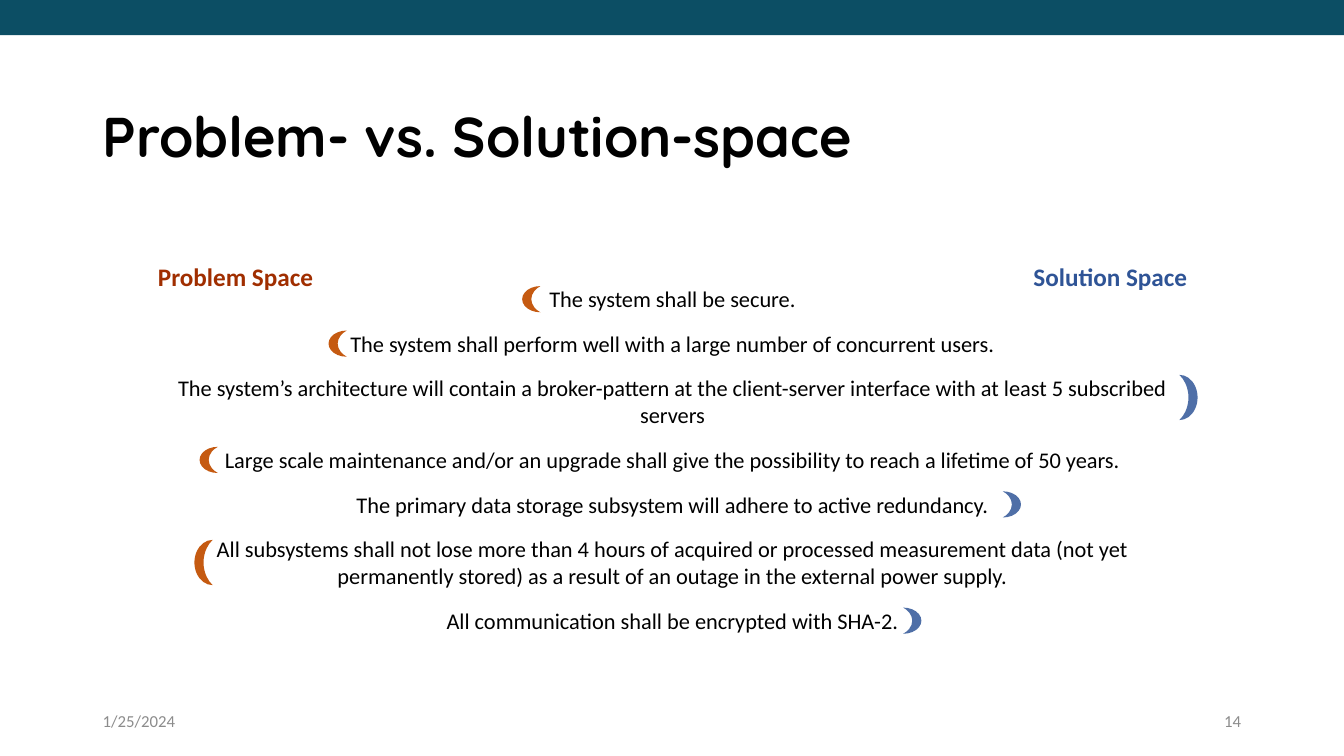
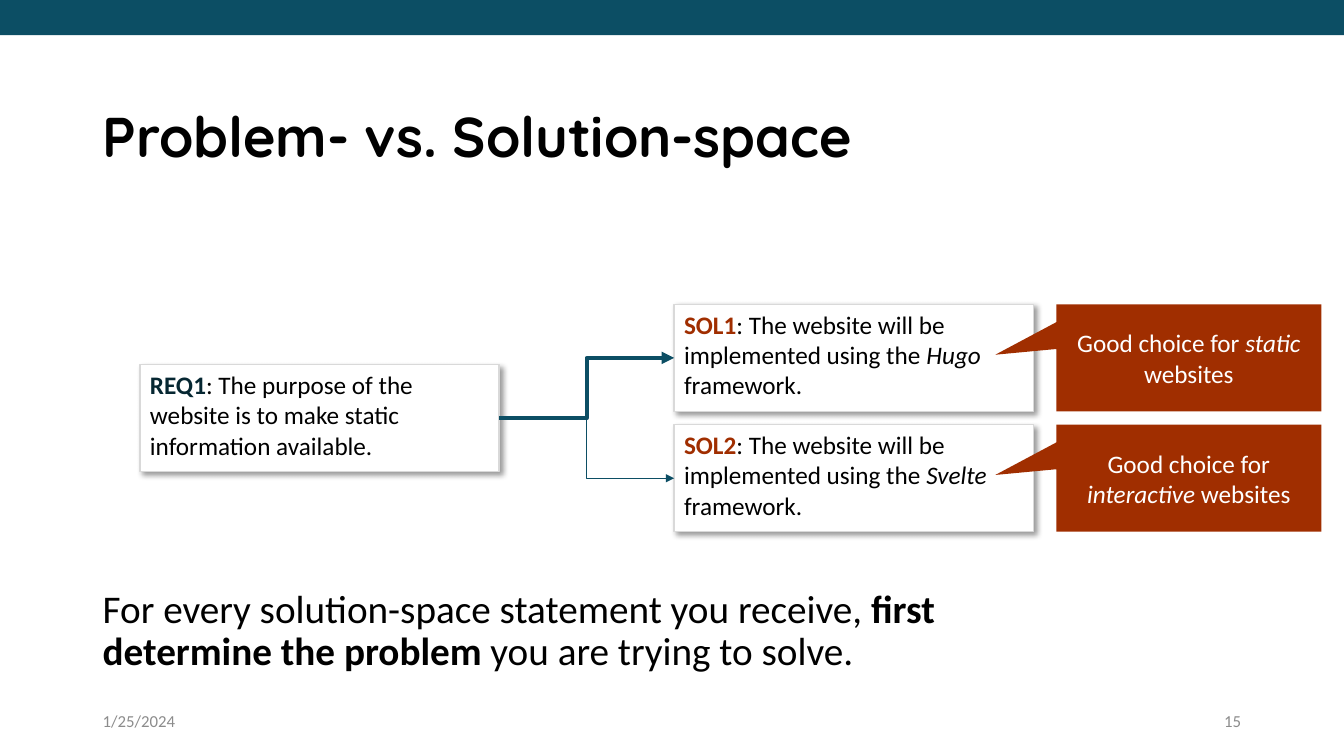
import pptx
import pptx.dml.color
import pptx.enum.shapes
import pptx.enum.text
import pptx.oxml
import pptx.oxml.ns
import pptx.util
from dataclasses import dataclass

Cm = pptx.util.Cm
Pt = pptx.util.Pt
SHAPE = pptx.enum.shapes.MSO_SHAPE
ALIGN = pptx.enum.text.PP_ALIGN
ANCHOR = pptx.enum.text.MSO_ANCHOR


@dataclass(frozen=True)
class Theme:
    heading_font: str = "Quicksand"
    body_font: str = "Calibri"
    black: str = "000000"
    white: str = "FFFFFF"
    teal: str = "0C4E64"
    dark_teal: str = "062732"
    grey: str = "8C8C8C"
    border: str = "D9D9D9"
    rust: str = "A02E00"
    blue: str = "2F5496"
    problem_moon: str = "C55A11"
    solution_moon: str = "4F6FA7"
    title_size: int = 40
    body_size: int = 28
    box_size: int = 18
    statement_size: int = 16
    footer_size: int = 12


THEME = Theme()
WIDTH, HEIGHT = 33.87, 19.05
MARGIN = 2.34
CONTENT_WIDTH = 24.82

TITLE = "Problem- vs. Solution-space"
DATE = "1/25/2024"

# text, line count, space it belongs to, moon left, moon vertical shift
STATEMENTS = [
    ("The system shall be secure.", 1, "problem", 13.16, 0),
    ("The system shall perform well with a large number of concurrent users.",
     1, "problem", 8.28, 0),
    ("The system’s architecture will contain a broker-pattern at the client-server "
     "interface with at least 5 subscribed servers", 2, "solution", 29.72, -0.11),
    ("Large scale maintenance and/or an upgrade shall give the possibility to reach "
     "a lifetime of 50 years.", 1, "problem", 5.03, 0),
    ("The primary data storage subsystem will adhere to active redundancy.",
     1, "solution", 25.27, 0),
    ("All subsystems shall not lose more than 4 hours of acquired or processed "
     "measurement data (not yet permanently stored) as a result of an outage in the "
     "external power supply.", 2, "problem", 4.9, 0),
    ("All communication shall be encrypted with SHA-2.", 1, "solution", 22.76, 0),
]

REQUIREMENT = ("REQ1", [(": The purpose of the website is to make static information available.", {})])

# label, framework, what it suits
SOLUTIONS = [("SOL1", "Hugo", "static"), ("SOL2", "Svelte", "interactive")]

ADVICE = [
    ("For every solution-space statement you receive, ", {}),
    ("first determine the problem ", {"bold": True}),
    ("you are trying to solve.", {}),
]


def rgb(color):
    return pptx.dml.color.RGBColor.from_string(color)


def write(shape, runs, size, color=THEME.black, font=THEME.body_font, bold=False,
          align=ALIGN.LEFT, anchor=ANCHOR.TOP, line_spacing=None):
    """Fill a shape with one paragraph; runs is a string or (text, overrides) pairs."""
    frame = shape.text_frame
    frame.word_wrap = True
    frame.vertical_anchor = anchor
    paragraph = frame.paragraphs[0]
    paragraph.alignment = align
    paragraph.line_spacing = line_spacing
    for text, overrides in [(runs, {})] if isinstance(runs, str) else runs:
        run = paragraph.add_run()
        run.text = text
        run.font.name = font
        run.font.size = Pt(size)
        run.font.bold = overrides.get("bold", bold)
        run.font.italic = overrides.get("italic", False)
        run.font.color.rgb = rgb(overrides.get("color", color))


def add_text(slide, left, top, width, height, runs, **text_format):
    box = slide.shapes.add_textbox(Cm(left), Cm(top), Cm(width), Cm(height))
    write(box, runs, **text_format)


def add_filled(slide, kind, left, top, width, height, fill, border=None):
    shape = slide.shapes.add_shape(kind, Cm(left), Cm(top), Cm(width), Cm(height))
    shape.fill.solid()
    shape.fill.fore_color.rgb = rgb(fill)
    if border:
        shape.line.color.rgb = rgb(border)
        shape.line.width = Pt(1)
    else:
        shape.line.fill.background()
    shape.shadow.inherit = False
    return shape


def add_card(slide, left, top, width, height, label, label_color, runs):
    """White bordered box with a soft shadow and a bold coloured label."""
    card = add_filled(slide, SHAPE.RECTANGLE, left, top, width, height,
                      THEME.white, THEME.border)
    effects = card._element.spPr.find(pptx.oxml.ns.qn("a:effectLst"))
    effects.append(pptx.oxml.parse_xml(
        f'<a:outerShdw {pptx.oxml.ns.nsdecls("a")} blurRad="{Pt(4)}" dist="{Pt(3)}" '
        'dir="2700000" algn="tl" rotWithShape="0">'
        '<a:srgbClr val="000000"><a:alpha val="40000"/></a:srgbClr></a:outerShdw>'))
    write(card, [(label, {"bold": True, "color": label_color})] + runs, size=THEME.box_size)
    return card


def add_arrow(slide, source, target, weight):
    """Elbow arrow from the right side of source to the left side of target."""
    arrow = slide.shapes.add_connector(pptx.enum.shapes.MSO_CONNECTOR.ELBOW, 0, 0, 0, 0)
    arrow.begin_connect(source, 3)
    arrow.end_connect(target, 1)
    arrow.line.color.rgb = rgb(THEME.teal)
    arrow.line.width = Pt(weight)
    namespace = pptx.oxml.ns.nsdecls("a")
    arrow.line._get_or_add_ln().append(
        pptx.oxml.parse_xml(f'<a:tailEnd {namespace} type="triangle"/>'))
    arrow._element.spPr.append(pptx.oxml.parse_xml(f"<a:effectLst {namespace}/>"))


def add_base_slide(presentation, number):
    """Blank slide with the shared band, title and footer."""
    slide = presentation.slides.add_slide(presentation.slide_layouts[6])
    add_filled(slide, SHAPE.RECTANGLE, 0, 0, WIDTH, 0.89, THEME.teal)
    add_text(slide, MARGIN, 2.62, CONTENT_WIDTH, 3.68, TITLE, size=THEME.title_size,
             font=THEME.heading_font, bold=True, line_spacing=0.9)
    footer_width = 7.62
    for left, text, align in [(MARGIN, DATE, ALIGN.LEFT),
                              (WIDTH - MARGIN - footer_width, str(number), ALIGN.RIGHT)]:
        add_text(slide, left, 17.65, footer_width, 1.02, text, size=THEME.footer_size,
                 color=THEME.grey, align=align, anchor=ANCHOR.MIDDLE)
    return slide


def build_statements(presentation):
    slide = add_base_slide(presentation, 14)
    left, width, heading_width = 3.73, 26.44, 5.94
    for heading_left, text, color, align in [
            (left, "Problem Space", THEME.rust, ALIGN.LEFT),
            (left + width - heading_width, "Solution Space", THEME.blue, ALIGN.RIGHT)]:
        add_text(slide, heading_left, 6.45, heading_width, 1.02, text,
                 size=THEME.box_size, color=color, bold=True, align=align)

    box_heights, moon_heights = {1: 0.94, 2: 1.63}, {1: 0.66, 2: 1.14}
    top, gap = 7.07, 0.18
    for text, lines, space, moon_left, shift in STATEMENTS:
        height, moon_height = box_heights[lines], moon_heights[lines]
        add_text(slide, left, top, width, height, text,
                 size=THEME.statement_size, align=ALIGN.CENTER)
        is_problem = space == "problem"
        moon = add_filled(slide, SHAPE.MOON, moon_left,
                          top + (height - moon_height) / 2 + shift, 0.46, moon_height,
                          THEME.problem_moon if is_problem else THEME.solution_moon)
        moon.rotation = 0 if is_problem else 180
        top += height + gap


def build_solutions(presentation):
    slide = add_base_slide(presentation, 15)
    add_text(slide, MARGIN, 14.73, CONTENT_WIDTH, 2.44, ADVICE,
             size=THEME.body_size, line_spacing=0.9)

    width, height, first_top, step = 9.05, 2.7, 7.67, 3.03
    middle_top = first_top + step * (len(SOLUTIONS) - 1) / 2
    label, runs = REQUIREMENT
    requirement = add_card(slide, 3.53, middle_top, width, height,
                           label, THEME.dark_teal, runs)

    for index, (label, framework, purpose) in enumerate(SOLUTIONS):
        top = first_top + index * step
        solution = add_card(slide, 16.99, top, width, height, label, THEME.rust, [
            (": The website will be implemented using the ", {}),
            (framework, {"italic": True}),
            (" framework.", {})])
        callout = add_filled(slide, SHAPE.RECTANGULAR_CALLOUT, 26.62, top, 6.68, height,
                             THEME.rust)
        callout.adjustments[0] = -0.73
        callout.adjustments[1] = -0.03
        write(callout, [("Good choice for ", {}), (purpose, {"italic": True}),
                        (" websites", {})],
              size=THEME.box_size, color=THEME.white, align=ALIGN.CENTER,
              anchor=ANCHOR.MIDDLE)
        add_arrow(slide, requirement, solution, weight=3 if index == 0 else 0.5)


def main():
    presentation = pptx.Presentation()
    presentation.slide_width = Cm(WIDTH)
    presentation.slide_height = Cm(HEIGHT)
    build_statements(presentation)
    build_solutions(presentation)
    presentation.save("out.pptx")


if __name__ == "__main__":
    main()
